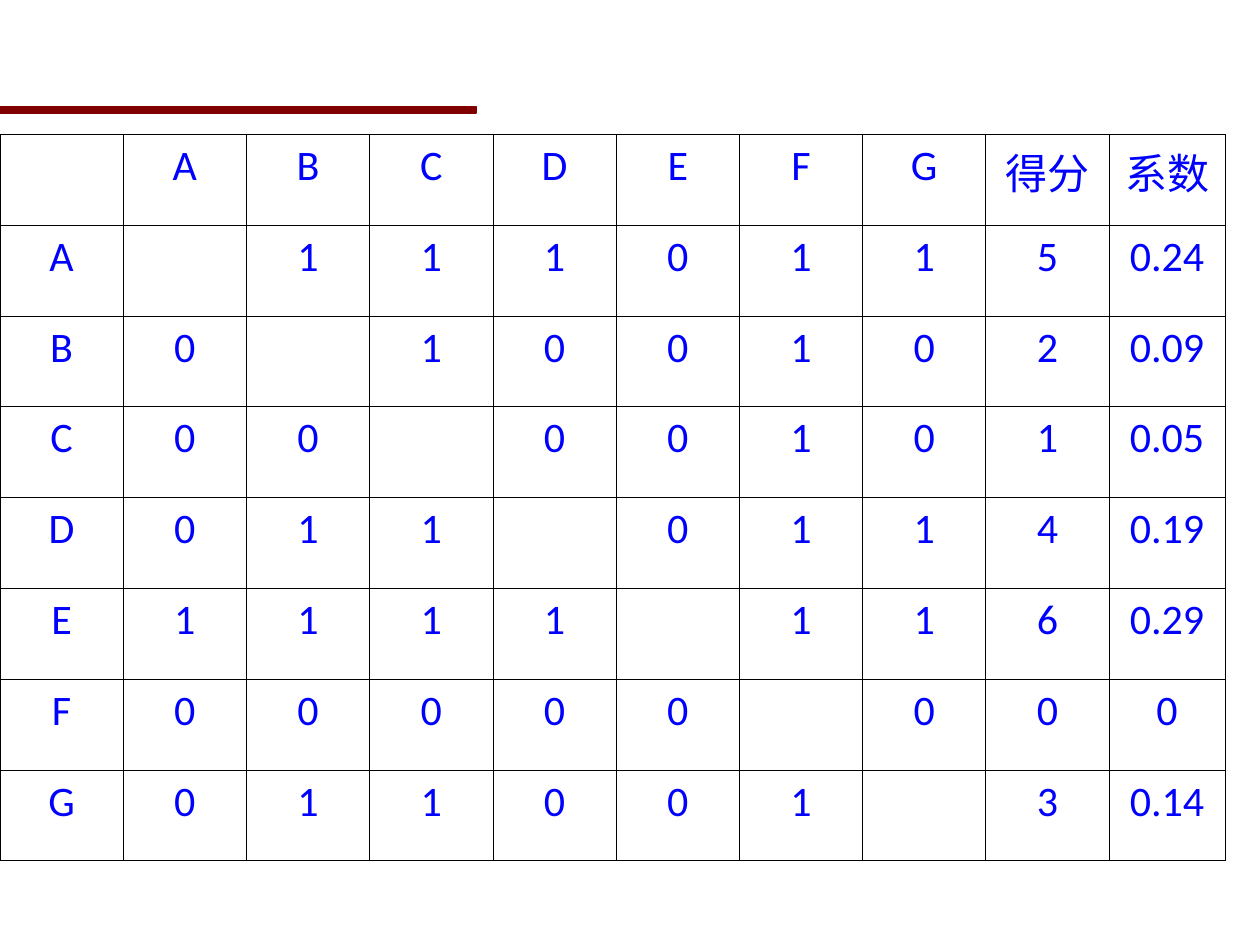
"""Build a slide with a pairwise scoring matrix and its weight coefficients."""
from lxml import etree
from pptx import Presentation
from pptx.dml.color import RGBColor
from pptx.enum.shapes import MSO_SHAPE
from pptx.enum.text import PP_ALIGN
from pptx.oxml.ns import qn
from pptx.util import Cm, Pt

RECTANGLE = MSO_SHAPE.RECTANGLE
CENTER = PP_ALIGN.CENTER
COLORS = {"bar": "800000", "text": "0000FF", "border": "000000"}
FONT = "Calibri"
BORDER_WIDTH = Pt(0.45)
BLANK = "-"
ROWS = [
    "- A B C D E F G 得分 系数",
    "A - 1 1 1 0 1 1 5 0.24",
    "B 0 - 1 0 0 1 0 2 0.09",
    "C 0 0 - 0 0 1 0 1 0.05",
    "D 0 1 1 - 0 1 1 4 0.19",
    "E 1 1 1 1 - 1 1 6 0.29",
    "F 0 0 0 0 0 - 0 0 0",
    "G 0 1 1 0 0 1 - 3 0.14",
]
COLUMN_COUNT = 10
ROW_HEIGHT = Cm(1.83)
COLUMN_WIDTH = Cm(22.36) // 9
LAST_COLUMN_WIDTH = Cm(2.34)


def add_borders(cell):
    properties = cell._tc.get_or_add_tcPr()
    for position, side in enumerate(("a:lnL", "a:lnR", "a:lnT", "a:lnB")):
        line = etree.Element(qn(side), w=str(int(BORDER_WIDTH)))
        fill = etree.SubElement(line, qn("a:solidFill"))
        etree.SubElement(fill, qn("a:srgbClr"), val=COLORS["border"])
        properties.insert(position, line)


presentation = Presentation()
presentation.slide_width = Cm(25.4)
presentation.slide_height = Cm(19.05)
slide = presentation.slides.add_slide(presentation.slide_layouts[6])

bar = slide.shapes.add_shape(RECTANGLE, Cm(-0.03), Cm(2.15), Cm(9.63), Cm(0.13))
bar.shadow.inherit = False
bar.fill.solid()
bar.fill.fore_color.rgb = RGBColor.from_string(COLORS["bar"])
bar.line.color.rgb = RGBColor.from_string(COLORS["bar"])
bar.line.width = Pt(0.75)

table = slide.shapes.add_table(
    len(ROWS), COLUMN_COUNT, Cm(0), Cm(2.71),
    COLUMN_WIDTH * (COLUMN_COUNT - 1) + LAST_COLUMN_WIDTH, ROW_HEIGHT * len(ROWS),
).table
table.first_row = False
table.horz_banding = False
for column in table.columns:
    column.width = COLUMN_WIDTH
table.columns[COLUMN_COUNT - 1].width = LAST_COLUMN_WIDTH

for row_index, row in enumerate(ROWS):
    table.rows[row_index].height = ROW_HEIGHT
    for column_index, text in enumerate(row.split()):
        cell = table.cell(row_index, column_index)
        cell.fill.background()
        add_borders(cell)
        if text == BLANK:
            continue
        paragraph = cell.text_frame.paragraphs[0]
        paragraph.alignment = CENTER
        run = paragraph.add_run()
        run.text = text
        run.font.name = FONT
        run.font.size = Pt(24)
        run.font.color.rgb = RGBColor.from_string(COLORS["text"])

presentation.save("out.pptx")
